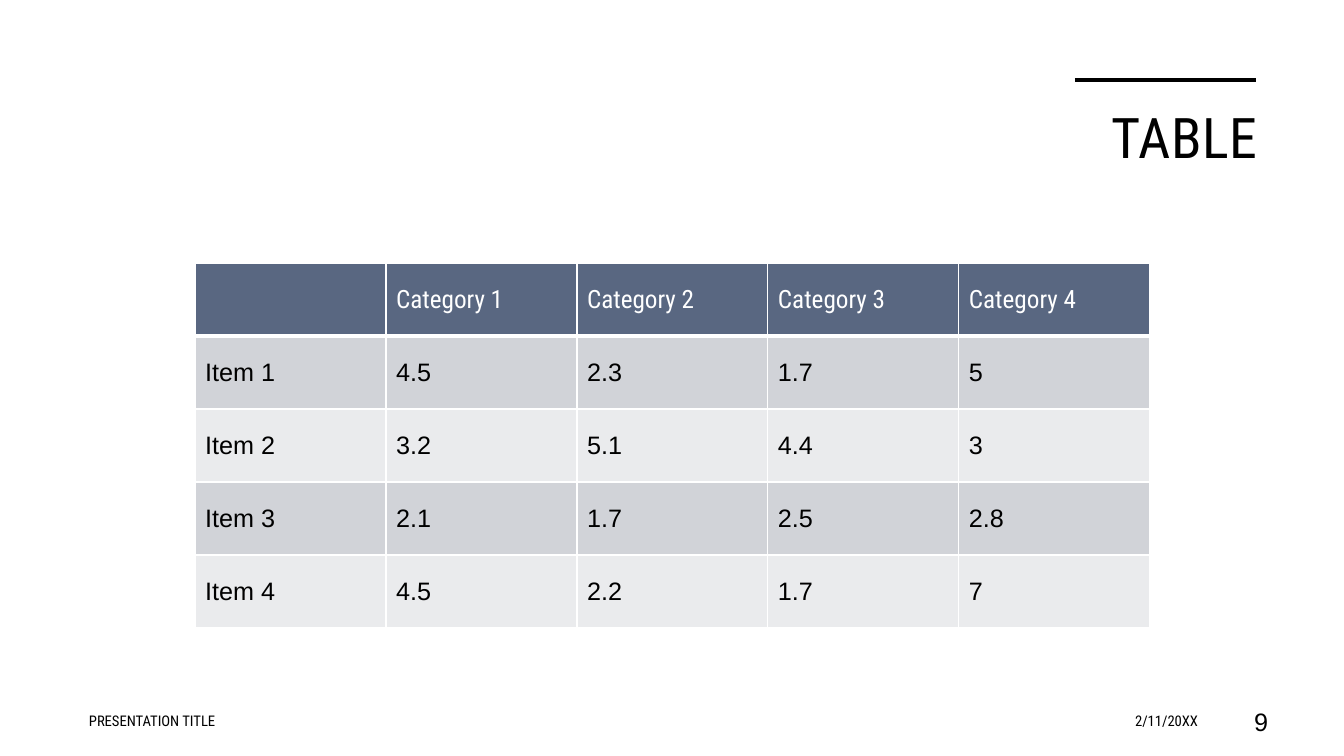
import dataclasses

import lxml.etree
import pptx
import pptx.dml.color
import pptx.enum.shapes
import pptx.enum.text
import pptx.oxml.ns
import pptx.util

ALIGN = pptx.enum.text.PP_ALIGN
ANCHOR = pptx.enum.text.MSO_ANCHOR
WIDTH, HEIGHT = 1344, 756
EMU_PER_PX = 12192000 / WIDTH


@dataclasses.dataclass(frozen=True)
class Theme:
    ink: str = "000000"
    paper: str = "FFFFFF"
    header: str = "596781"
    bands: tuple = ("D1D3D8", "EAEBED")
    heading_font: str = "Roboto Condensed"
    body_font: str = "Arial"
    title_size: float = 40
    body_size: float = 18
    footer_size: float = 10.5


def px(length):
    return pptx.util.Emu(round(length * EMU_PER_PX))


def color(code):
    return pptx.dml.color.RGBColor.from_string(code)


def sub(parent, tag, **attributes):
    return lxml.etree.SubElement(parent, pptx.oxml.ns.qn(tag), **attributes)


class SlideBuilder:
    def __init__(self, page, theme):
        self.page = page
        self.theme = theme

    def style(self, para, size, font, ink, align=ALIGN.LEFT):
        para.alignment = align
        for span in para.runs:
            span.font.size = pptx.util.Pt(size)
            span.font.name = font
            span.font.bold = False
            span.font.color.rgb = color(ink)

    def text(self, words, left, top, width, height, size, font,
             align=ALIGN.LEFT, anchor=ANCHOR.MIDDLE):
        box = self.page.shapes.add_textbox(px(left), px(top), px(width), px(height))
        frame = box.text_frame
        frame.word_wrap = True
        frame.vertical_anchor = anchor
        frame.text = words
        self.style(frame.paragraphs[0], size, font, self.theme.ink, align)
        return frame.paragraphs[0]

    def title(self, words, left, top, width, height):
        para = self.text(words, left, top, width, height, self.theme.title_size,
                         self.theme.heading_font, ALIGN.RIGHT, ANCHOR.TOP)
        para.runs[0].font._element.set("spc", "30")

    def rule(self, left, right, top, weight):
        line = self.page.shapes.add_connector(
            pptx.enum.shapes.MSO_CONNECTOR.STRAIGHT, px(left), px(top), px(right), px(top))
        line.line.color.rgb = color(self.theme.ink)
        line.line.width = pptx.util.Pt(weight)
        sub(line._element.spPr, "a:effectLst")

    def borders(self, cell, **weights):
        """Draw cell borders; weights maps L, R, T and B to points."""
        properties = cell._tc.get_or_add_tcPr()
        for index, (side, weight) in enumerate(weights.items()):
            edge = sub(properties, f"a:ln{side}", w=str(pptx.util.Pt(weight)))
            sub(sub(edge, "a:solidFill"), "a:srgbClr", val=self.theme.paper)
            properties.insert(index, edge)

    def table(self, rows, left, top, column_width, row_height):
        theme = self.theme
        count = len(rows[0])
        grid = self.page.shapes.add_table(
            len(rows), count, px(left), px(top),
            px(column_width * count), px(row_height * len(rows))).table
        for column in grid.columns:
            column.width = px(column_width)
        for r, values in enumerate(rows):
            grid.rows[r].height = px(row_height)
            is_header = r == 0
            fill = theme.header if is_header else theme.bands[(r - 1) % 2]
            font = theme.heading_font if is_header else theme.body_font
            ink = theme.paper if is_header else theme.ink
            for c, value in enumerate(values):
                cell = grid.cell(r, c)
                cell.text = value
                cell.vertical_anchor = ANCHOR.MIDDLE
                cell.fill.solid()
                cell.fill.fore_color.rgb = color(fill)
                self.style(cell.text_frame.paragraphs[0], theme.body_size, font, ink)
                self.borders(cell, L=1, R=1, T=3 if r == 1 else 1, B=3 if is_header else 1)


def main():
    deck = pptx.Presentation()
    deck.slide_width, deck.slide_height = px(WIDTH), px(HEIGHT)
    theme = Theme()
    slide = SlideBuilder(deck.slides.add_slide(deck.slide_layouts[6]), theme)

    slide.rule(1075, 1256, 80, 3.5)
    slide.title("TABLE", 77, 98, 1190, 116)
    slide.table([
        ["", "Category 1", "Category 2", "Category 3", "Category 4"],
        ["Item 1", "4.5", "2.3", "1.7", "5"],
        ["Item 2", "3.2", "5.1", "4.4", "3"],
        ["Item 3", "2.1", "1.7", "2.5", "2.8"],
        ["Item 4", "4.5", "2.2", "1.7", "7"],
    ], 195, 263, 191, 73)

    footer_top, footer_height = 701, 40
    for words, left, width, size, font, align in (
        ("PRESENTATION TITLE", 79, 500, theme.footer_size, theme.heading_font, ALIGN.LEFT),
        ("2/11/20XX", 922, 286, theme.footer_size, theme.heading_font, ALIGN.RIGHT),
        ("9", 1204, 74, theme.body_size, theme.body_font, ALIGN.RIGHT),
    ):
        slide.text(words, left, footer_top, width, footer_height, size, font, align)

    deck.save("out.pptx")


if __name__ == "__main__":
    main()
